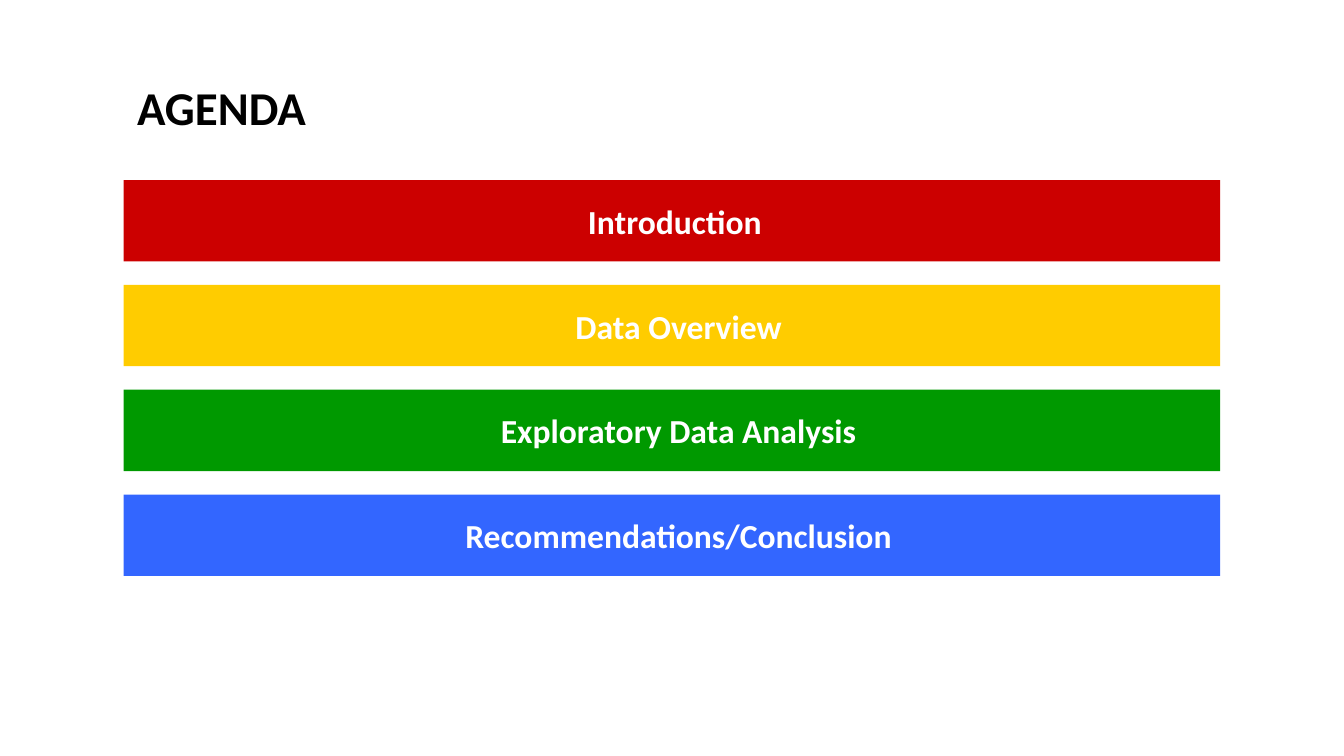
from dataclasses import dataclass

from pptx import Presentation
from pptx.dml.color import RGBColor
from pptx.enum.shapes import MSO_SHAPE
from pptx.enum.text import MSO_ANCHOR, PP_ALIGN
from pptx.util import Emu, Pt

EMU_PER_PX = 4572


def px(length):
    return Emu(length * EMU_PER_PX)


@dataclass(frozen=True)
class Theme:
    font: str = "Calibri"
    title_size: float = 25.2
    bar_size: float = 18
    ink: str = "000000"
    paper: str = "FFFFFF"
    red: str = "CC0000"
    yellow: str = "FFCC00"
    green: str = "009900"
    blue: str = "3366FF"


def write_text(box, text, *, font, size, color, align, anchor, insets):
    frame = box.text_frame
    frame.word_wrap = True
    frame.vertical_anchor = anchor
    left, top, right, bottom = map(px, insets)
    frame.margin_left, frame.margin_top = left, top
    frame.margin_right, frame.margin_bottom = right, bottom
    para = frame.paragraphs[0]
    para.alignment = align
    para.space_before = Pt(0)
    span = para.add_run()
    span.text = text
    span.font.name = font
    span.font.size = Pt(size)
    span.font.bold = True
    span.font.color.rgb = RGBColor.from_string(color)


class AgendaPage:
    def __init__(self, deck, theme):
        self.theme = theme
        self.page = deck.slides.add_slide(deck.slide_layouts[5])
        background = self.page.background.fill
        background.solid()
        background.fore_color.rgb = RGBColor.from_string(theme.paper)

    def title(self, text, left, top, width, height):
        box = self.page.shapes.title
        box.left, box.top, box.width, box.height = map(px, (left, top, width, height))
        write_text(box, text, font=self.theme.font, size=self.theme.title_size,
                   color=self.theme.ink, align=PP_ALIGN.LEFT,
                   anchor=MSO_ANCHOR.TOP, insets=(20, 20, 20, 20))

    def bar(self, text, color, left, top, width, height):
        box = self.page.shapes.add_shape(
            MSO_SHAPE.RECTANGLE, *map(px, (left, top, width, height)))
        box.shadow.inherit = False
        box.fill.solid()
        box.fill.fore_color.rgb = RGBColor.from_string(color)
        box.line.fill.background()
        write_text(box, text, font=self.theme.font, size=self.theme.bar_size,
                   color=self.theme.paper, align=PP_ALIGN.CENTER,
                   anchor=MSO_ANCHOR.MIDDLE, insets=(34, 14, 14, 14))


def main():
    deck = Presentation()
    deck.slide_width, deck.slide_height = px(2000), px(1125)
    theme = Theme()
    agenda = AgendaPage(deck, theme)
    agenda.title("AGENDA", 184, 97, 1748, 126)

    topics = [
        ("Introduction ", theme.red),
        ("Data Overview", theme.yellow),
        ("Exploratory Data Analysis", theme.green),
        ("Recommendations/Conclusion", theme.blue),
    ]
    first_top, pitch = 268, 156
    for row, (topic, color) in enumerate(topics):
        agenda.bar(topic, color, 184, first_top + row * pitch, 1632, 121)

    deck.save("out.pptx")


if __name__ == "__main__":
    main()
